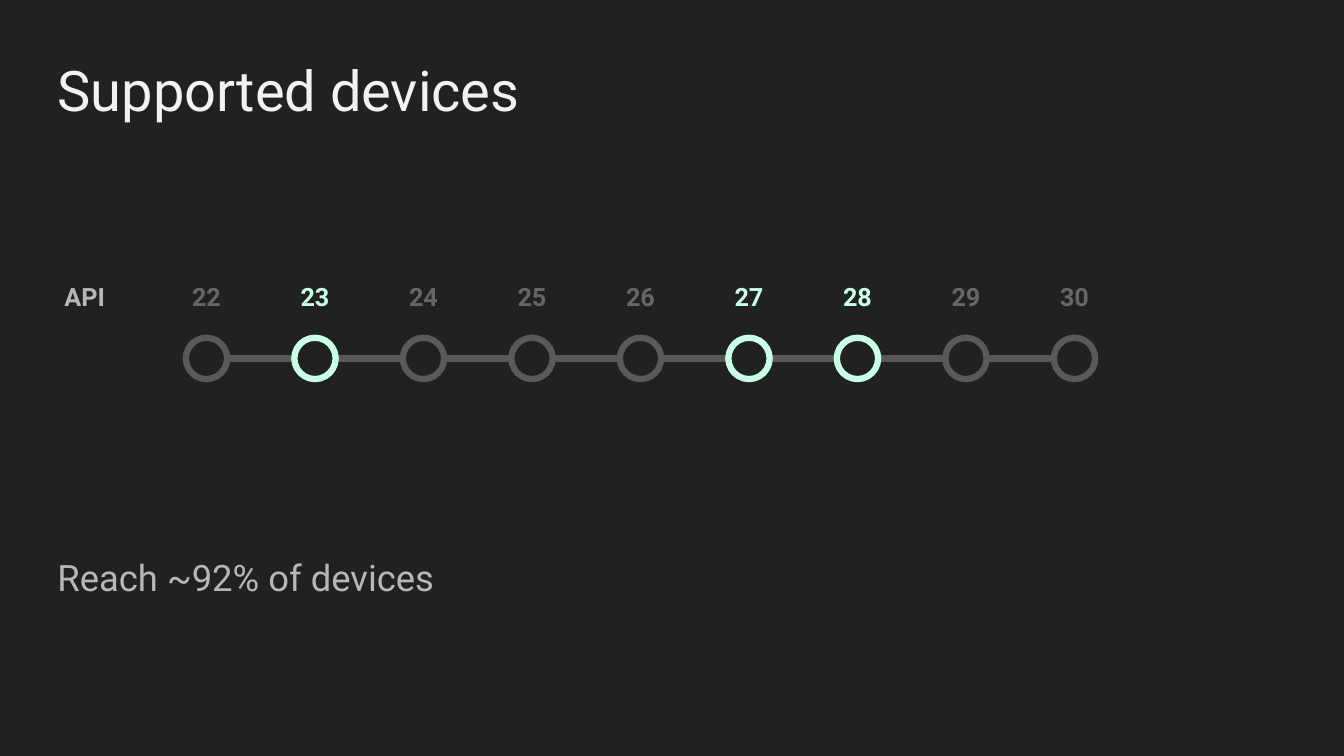
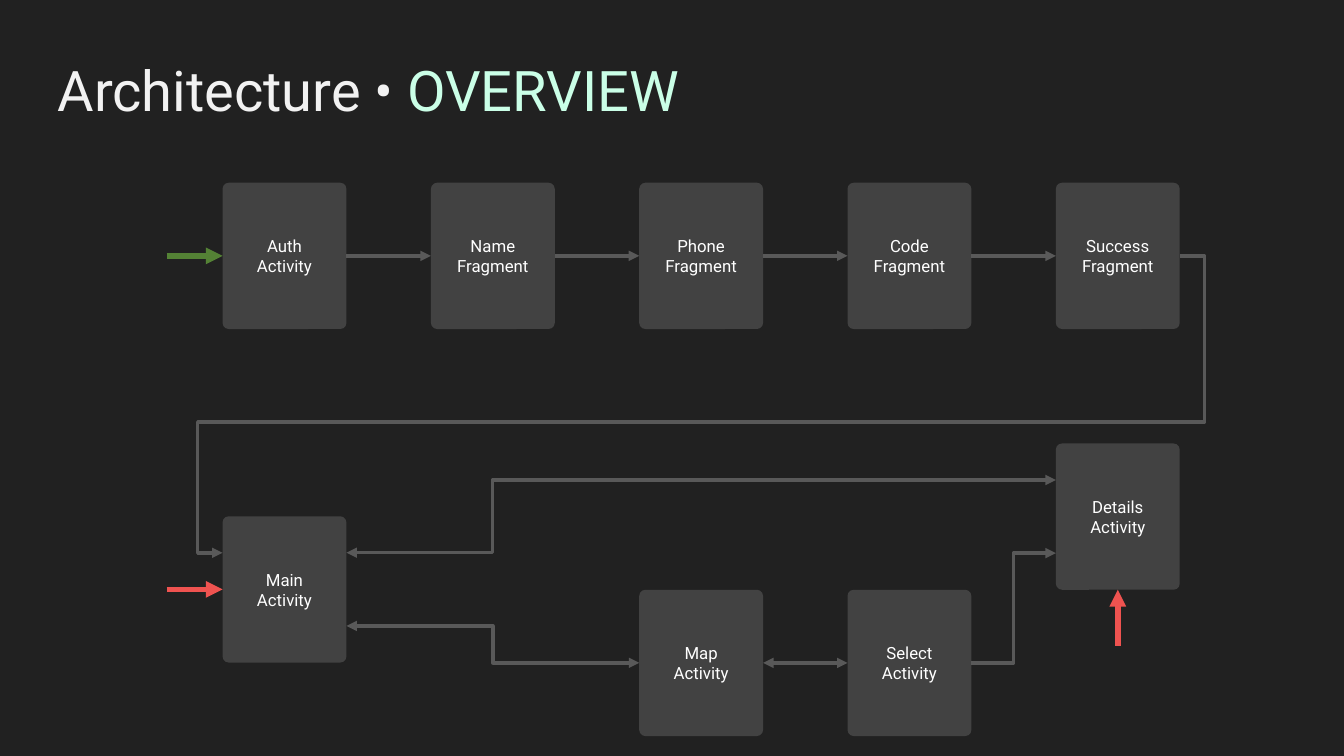
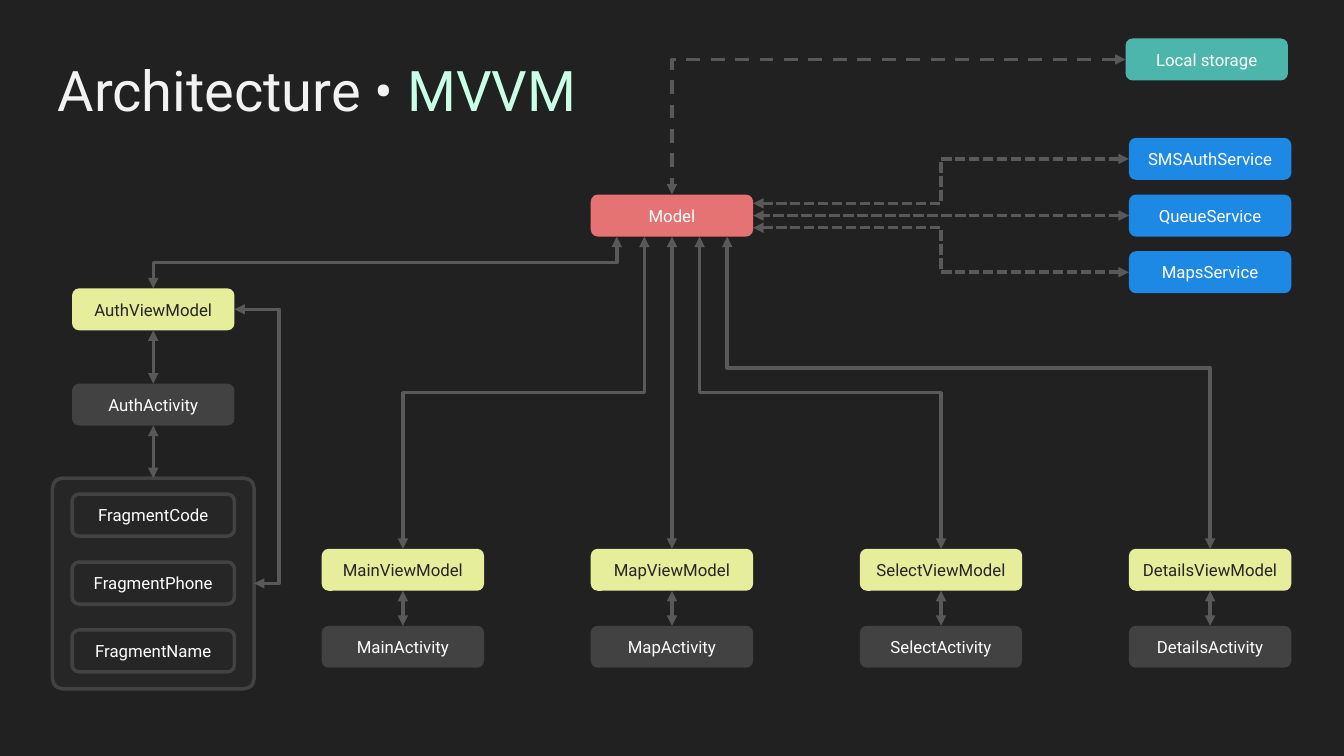
from dataclasses import dataclass
from typing import NamedTuple, Optional

from lxml.etree import SubElement as Sub
from pptx import Presentation
from pptx.dml.color import RGBColor as RGB
from pptx.enum.dml import MSO_LINE as Dash
from pptx.enum.shapes import MSO_CONNECTOR as Conn, MSO_SHAPE as Form
from pptx.enum.text import MSO_ANCHOR as Anchor, MSO_AUTO_SIZE as Auto, PP_ALIGN as Align
from pptx.oxml.ns import qn
from pptx.shapes.autoshape import Shape
from pptx.shapes.connector import Connector
from pptx.slide import Slide
from pptx.text.text import TextFrame
from pptx.util import Pt

TOP, LEFT, BOTTOM, RIGHT = range(4)


@dataclass(frozen=True)
class Theme:
    font: str = "Roboto"
    back: str = "212121"
    panel: str = "262626"
    card: str = "424242"
    wire: str = "595959"
    dim: str = "666666"
    soft: str = "B7B7B7"
    head: str = "F2F2F2"
    white: str = "FFFFFF"
    mint: str = "CAFFE7"
    green: str = "548235"
    red: str = "EF5350"
    rose: str = "E57373"
    lime: str = "E6EE9C"
    teal: str = "4DB6AC"
    blue: str = "1E88E5"
    title: int = 40
    lead: int = 26
    label: int = 18
    small: int = 12
    thin: float = 2.5
    bold: float = 4
    ring: float = 4.5


class Spot(NamedTuple):
    x: float
    y: float


class Box(NamedTuple):
    x: float
    y: float
    w: float
    h: float


class Card(NamedTuple):
    """One screen of the app: its column and the top of its box."""
    text: str
    col: int
    top: float


class Node(NamedTuple):
    """One block of the MVVM map: middle x, top and colours."""
    text: str
    mid: float
    top: float
    fill: Optional[str]
    ink: str
    edge: Optional[str] = None


T = Theme()


def style(frame: TextFrame, size: float, *inks: str, bold: bool = False,
          align: Align = Align.CENTER) -> None:
    """Format all runs; the last ink holds for any further runs."""
    for par in frame.paragraphs:
        par.alignment = align
        for i, run in enumerate(par.runs):
            font = run.font
            font.name, font.size, font.bold = T.font, Pt(size), bold
            font.color.rgb = RGB.from_string(inks[min(i, len(inks) - 1)])


def new_page(deck: Presentation, title: str, accent: str = "") -> Slide:
    page = deck.slides.add_slide(deck.slide_layouts[5])
    frame = page.shapes.title.text_frame
    frame.text = title
    if accent:
        frame.paragraphs[0].add_run().text = accent
    frame.paragraphs[0].line_spacing = 0.9
    frame.vertical_anchor, frame.auto_size = Anchor.MIDDLE, Auto.NONE
    style(frame, T.title, T.head, T.mint, align=Align.LEFT)
    return page


def add_text(page: Slide, box: Box, text: str, size: float, ink: str,
             bold: bool = False, align: Align = Align.CENTER) -> None:
    frame = page.shapes.add_textbox(*map(Pt, box)).text_frame
    frame.word_wrap = True
    frame.text = text
    style(frame, size, ink, bold=bold, align=align)


def add_form(page: Slide, form: Form, box: Box, fill: Optional[str], edge: Optional[str] = None,
             width: float = T.thin, round_by: Optional[float] = None) -> Shape:
    shape = page.shapes.add_shape(form, *map(Pt, box))
    shape.shadow.inherit = False
    if round_by is not None:
        shape.adjustments[0] = round_by
    for paint, tint in ((shape.fill, fill), (shape.line.fill, edge)):
        if tint:
            paint.solid()
            paint.fore_color.rgb = RGB.from_string(tint)
        else:
            paint.background()
    if edge:
        shape.line.width = Pt(width)
    return shape


def put(shape: Shape, text: str, ink: str) -> Shape:
    """Write centred small text in a shape."""
    frame = shape.text_frame
    frame.word_wrap, frame.vertical_anchor = True, Anchor.MIDDLE
    frame.text = text
    style(frame, T.small, ink)
    return shape


def port(shape: Shape, side: int, part: float = 0.5) -> Spot:
    """Point at a share of the way along one side."""
    x, y, w, h = (v.pt for v in (shape.left, shape.top, shape.width, shape.height))
    if side in (TOP, BOTTOM):
        return Spot(x + w * part, y + (h if side == BOTTOM else 0))
    return Spot(x + (w if side == RIGHT else 0), y + h * part)


def dress(line: Connector, tint: str = T.wire, width: float = T.thin,
          dash: Optional[Dash] = None, ends: str = "tail") -> Connector:
    """Set line look; ends names the arrowheads, such as "head tail"."""
    line.line.color.rgb = RGB.from_string(tint)
    line.line.width = Pt(width)
    if dash:
        line.line.dash_style = dash
    props = line._element.spPr
    for end in ends.split():
        Sub(props.find(qn("a:ln")), qn(f"a:{end}End"), type="triangle")
    Sub(props, qn("a:effectLst"))
    return line


def straight(page: Slide, a: Spot, b: Spot) -> Connector:
    return page.shapes.add_connector(Conn.STRAIGHT, *map(Pt, (*a, *b)))


def link(page: Slide, a: Shape, out: int, b: Shape, into: int, ends: str = "tail",
         dash: Optional[Dash] = None) -> None:
    """Join the middles of two sides."""
    line = straight(page, port(a, out), port(b, into))
    line.begin_connect(a, out)
    line.end_connect(b, into)
    dress(line, dash=dash, ends=ends)


def elbow(page: Slide, a: Spot, b: Spot, *bends: float, upright: bool = False,
          kind: int = 3, ends: str = "head tail", dash: Optional[Dash] = None) -> None:
    """Bent line; bends are shares of its extent, upright leaves vertically."""
    if upright:
        mid = Spot((a.x + b.x) / 2, (a.y + b.y) / 2)
        dx, dy = (b.x - a.x) / 2, (b.y - a.y) / 2
        a, b = Spot(mid.x - dy, mid.y + dx), Spot(mid.x + dy, mid.y - dx)
    line = page.shapes.add_connector(Conn.ELBOW, *map(Pt, (*a, *b)))
    props = line._element.spPr
    if upright:
        props.find(qn("a:xfrm")).set("rot", "5400000")
    geom = props.find(qn("a:prstGeom"))
    geom.set("prst", f"bentConnector{kind}")
    for i, bend in enumerate(bends, 1):
        Sub(geom.find(qn("a:avLst")), qn("a:gd"), name=f"adj{i}",
            fmla=f"val {round(bend * 100000)}")
    dress(line, dash=dash, ends=ends)


def devices(deck: Presentation) -> None:
    page = new_page(deck, "Supported devices")
    start, step, mid, size = 147.5, 77.5, 256, 29.5
    levels = range(22, 31)
    end = start + step * (len(levels) - 1)
    dress(straight(page, Spot(start, mid), Spot(end, mid)), width=T.ring, ends="")

    def label(x: float, text: str, ink: str) -> None:
        add_text(page, Box(x - 24, 197.5, 48, 29), text, T.label, ink, bold=True)

    label(60.5, "API", T.soft)
    for i, level in enumerate(levels):
        x, lit = start + i * step, level in (23, 27, 28)
        add_form(page, Form.OVAL, Box(x - size / 2, mid - size / 2, size, size), T.back,
                 T.mint if lit else T.wire, T.ring)
        label(x, str(level), T.mint if lit else T.dim)
    add_text(page, Box(34, 393, 310, 39), "Reach ~92% of devices", T.lead, T.soft,
             align=Align.LEFT)


def overview(deck: Presentation) -> None:
    page = new_page(deck, "Architecture • ", "OVERVIEW")
    wide, high, step = 88.5, 104.5, 148.8
    steps = ("Auth\nActivity", "Name\nFragment", "Phone\nFragment", "Code\nFragment",
             "Success\nFragment")
    cards = [Card(text, i, 130.5) for i, text in enumerate(steps)]
    cards += [Card("Main\nActivity", 0, 368.75), Card("Map\nActivity", 2, 421.25),
              Card("Select\nActivity", 3, 421.25), Card("Details\nActivity", 4, 316.75)]
    made = [put(add_form(page, Form.ROUNDED_RECTANGLE,
                         Box(159 + c.col * step, c.top, wide, high), T.card, round_by=0.05),
                c.text, T.white) for c in cards]
    flow, (main, chart, pick, info) = made[:5], made[5:]

    for a, b in zip(flow, flow[1:]):
        link(page, a, RIGHT, b, LEFT)
    link(page, chart, RIGHT, pick, LEFT, "head tail")

    turn = port(main, RIGHT).x + (step * 2 - wide) / 2
    a, b = port(main, RIGHT, 0.25), port(info, LEFT, 0.25)
    elbow(page, a, b, (turn - a.x) / (b.x - a.x))
    elbow(page, port(main, RIGHT, 0.75), port(chart, LEFT), 0.5)
    elbow(page, port(pick, RIGHT), port(info, LEFT, 0.75), 0.5, ends="tail")

    a, b = port(flow[-1], RIGHT), port(main, LEFT, 0.25)
    jut = 18 / (a.x - b.x)
    elbow(page, a, b, -jut, 0.56, 1 + jut, kind=5, ends="tail")

    for card, side, dx, dy, tint in ((flow[0], LEFT, -40, 0, T.green),
                                     (main, LEFT, -40, 0, T.red),
                                     (info, BOTTOM, 0, 40, T.red)):
        tip = port(card, side)
        line = straight(page, Spot(tip.x + dx, tip.y + dy), tip)
        line.end_connect(card, side)
        dress(line, tint, T.bold)


def mvvm(deck: Presentation) -> None:
    page = new_page(deck, "Architecture • ", "MVVM")
    wide, high, mid, step, auth = 116, 30, 480, 192.2, 109.5
    both = "head tail"
    panel = add_form(page, Form.ROUNDED_RECTANGLE, Box(auth - 72, 341.5, 144, 150.5),
                     T.panel, T.card, round_by=0.05)
    far = mid + 2 * step
    nodes = [Node("Model", mid, 139, T.rose, T.white),
             Node("Local storage", far - 2.4, 27.5, T.teal, T.white),
             Node("AuthViewModel", auth, 206, T.lime, T.panel),
             Node("AuthActivity", auth, 274, T.card, T.white)]
    nodes += [Node(f"{name}Service", far, 98.5 + 40.5 * i, T.blue, T.white)
              for i, name in enumerate(("SMSAuth", "Queue", "Maps"))]
    nodes += [Node(f"Fragment{name}", auth, 353 + 48.5 * i, None, T.white, T.card)
              for i, name in enumerate(("Code", "Phone", "Name"))]
    views = ("Main", "Map", "Select", "Details")
    for i, name in enumerate(views):
        x = mid + (i - 1) * step
        nodes += [Node(f"{name}ViewModel", x, 392, T.lime, T.panel),
                  Node(f"{name}Activity", x, 447, T.card, T.white)]
    made = {n.text: put(add_form(page, Form.ROUNDED_RECTANGLE,
                                 Box(n.mid - wide / 2, n.top, wide, high), n.fill, n.edge),
                        n.text, n.ink) for n in nodes}
    model, first, act = made["Model"], made["AuthViewModel"], made["AuthActivity"]

    link(page, made["QueueService"], LEFT, model, RIGHT, both, Dash.SQUARE_DOT)
    for name, part in (("SMSAuth", 0.21), ("Maps", 0.79)):
        elbow(page, made[f"{name}Service"] and port(made[f"{name}Service"], LEFT),
              port(model, RIGHT, part), 0.5, dash=Dash.SQUARE_DOT)
    elbow(page, port(made["Local storage"], LEFT), port(model, TOP), kind=2, dash=Dash.DASH)

    for i, (name, bend) in enumerate((("Auth", 0.5), ("Main", 0.5), ("Map", 0.5),
                                      ("Select", 0.5), ("Details", 0.42))):
        view = made[f"{name}ViewModel"]
        if name == "Map":
            link(page, model, BOTTOM, view, TOP, both)
        else:
            elbow(page, port(model, BOTTOM, 0.5 + (i - 2) * 0.17), port(view, TOP), bend,
                  upright=True)
    for name in views:
        link(page, made[f"{name}ViewModel"], BOTTOM, made[f"{name}Activity"], TOP, both)
    link(page, first, BOTTOM, act, TOP, both)
    link(page, act, BOTTOM, panel, TOP, both)

    a, b = port(panel, RIGHT), port(first, RIGHT)
    elbow(page, a, b, 18 / (b.x - a.x))


def main() -> None:
    deck = Presentation()
    deck.slide_width, deck.slide_height = Pt(960), Pt(540)
    back = deck.slide_master.background.fill
    back.solid()
    back.fore_color.rgb = RGB.from_string(T.back)
    head = deck.slide_layouts[5].placeholders[0]
    head.left, head.top, head.width, head.height = map(Pt, (34, 14.5, 828, 104.5))
    devices(deck)
    overview(deck)
    mvvm(deck)
    deck.save("out.pptx")


if __name__ == "__main__":
    main()
